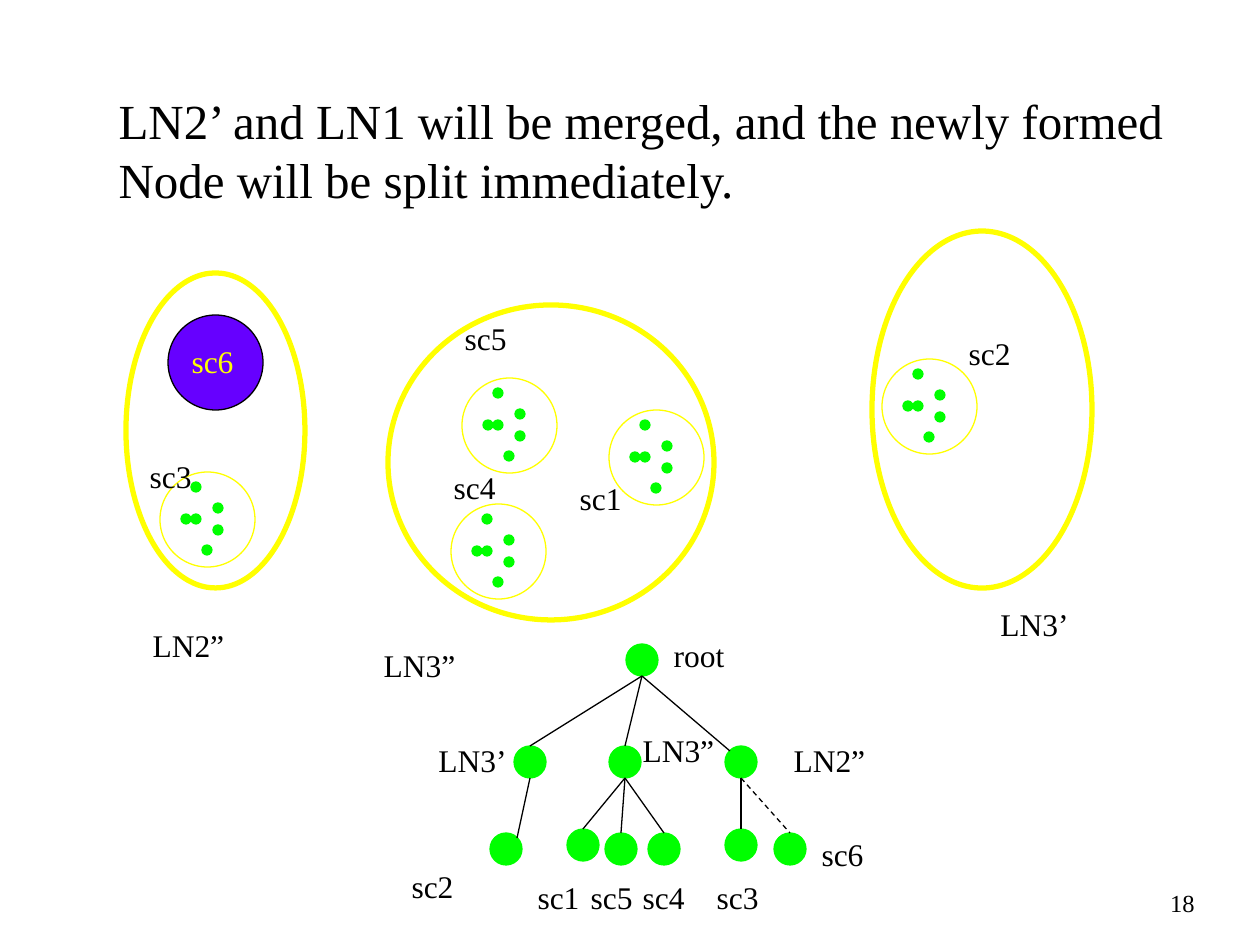
from pptx import Presentation
from pptx.dml.color import RGBColor
from pptx.enum.dml import MSO_LINE
from pptx.enum.shapes import MSO_CONNECTOR, MSO_SHAPE
from pptx.enum.text import MSO_ANCHOR, MSO_AUTO_SIZE, PP_ALIGN
from pptx.oxml.ns import qn
from pptx.util import Emu, Pt

ELLIPSE = MSO_SHAPE.OVAL
STRAIGHT = MSO_CONNECTOR.STRAIGHT
DASH = MSO_LINE.DASH
LEFT, CENTER, RIGHT = PP_ALIGN.LEFT, PP_ALIGN.CENTER, PP_ALIGN.RIGHT
TOP, MIDDLE = MSO_ANCHOR.TOP, MSO_ANCHOR.MIDDLE

FONT = "Times New Roman"
BLACK, YELLOW, GREEN, VIOLET = "000000", "FFFF00", "00FF00", "6600FF"
THIN, THICK = 0.74, 3
CLUSTER, DOT, NODE = 95, 10, 32
CORNER = 5  # inset of a diagonal point on a node's outline

DOTS = [(53, 31), (53, 53), (21, 42), (42, 73), (31, 42), (31, 10)]
LEAF_NODES = [(126, 273, 179, 315), (388, 305, 326, 315), (872, 231, 220, 357)]
CLUSTERS = [(160, 472), (451, 504), (462, 378), (609, 410), (882, 359)]

TREE = {
    "root": (626, 644),
    "LN3’": (514, 746), "LN3”": (609, 746), "LN2”": (725, 746),
    "sc2": (490, 833), "sc1": (567, 829), "sc5": (605, 833),
    "sc4": (648, 833), "sc3": (725, 829), "sc6": (774, 833),
}
# parent, child, arrival point on the child
EDGES = [
    ("root", "LN3’", "top"), ("root", "LN3”", "top"), ("root", "LN2”", "top left"),
    ("LN3’", "sc2", "top right"),
    ("LN3”", "sc1", "top"), ("LN3”", "sc5", "top"), ("LN3”", "sc4", "top"),
    ("LN2”", "sc3", "top"), ("LN2”", "sc6", "top"),
]
ARRIVAL = {
    "top": (NODE // 2, 0),
    "top left": (CORNER, CORNER),
    "top right": (NODE - CORNER, CORNER),
}

LABEL_WIDTHS = {"sc": 67, "ro": 76, "LN": 95}
LABELS = [
    ("sc3", 137, 451), ("sc4", 441, 462), ("sc5", 452, 313),
    ("sc2", 956, 328), ("sc1", 567, 473),
    ("LN2”", 141, 620), ("LN3”", 372, 640), ("LN3’", 987, 599),
    ("root", 661, 630), ("LN3’", 425, 735), ("LN3”", 631, 725), ("LN2”", 782, 735),
    ("sc2", 399, 861), ("sc1", 525, 872), ("sc5", 578, 872),
    ("sc4", 630, 872), ("sc3", 704, 872), ("sc6", 809, 829),
]


def px(n):
    return Emu(round(n * 914400 / 126))


def rgb(color):
    return RGBColor.from_string(color)


def add_ellipse(s, x, y, w, h, line, fill=None, weight=THIN):
    sp = s.shapes.add_shape(ELLIPSE, px(x), px(y), px(w), px(h))
    sp.shadow.inherit = False
    if fill:
        sp.fill.solid()
        sp.fill.fore_color.rgb = rgb(fill)
    else:
        sp.fill.background()
    sp.line.color.rgb = rgb(line)
    sp.line.width = Pt(weight)


def add_cluster(s, x, y):
    add_ellipse(s, x, y, CLUSTER, CLUSTER, YELLOW)
    for dx, dy in DOTS:
        add_ellipse(s, x + dx, y + dy, DOT, DOT, GREEN, GREEN)


def add_edge(s, parent, child, arrival):
    (x1, y1), (x2, y2) = TREE[parent], TREE[child]
    dx, dy = ARRIVAL[arrival]
    line = s.shapes.add_connector(STRAIGHT, px(x1 + NODE // 2), px(y1 + NODE),
                                  px(x2 + dx), px(y2 + dy))
    line.line.color.rgb = rgb(BLACK)
    line.line.width = Pt(THIN)
    if child == "sc6":
        line.line.dash_style = DASH
    sp_pr = line._element.spPr
    sp_pr.append(sp_pr.makeelement(qn("a:effectLst"), {}))


def set_text(sp, text, size, align, color=BLACK, anchor=TOP, wrap=False):
    tf = sp.text_frame
    tf.text = text
    tf.word_wrap = wrap
    tf.auto_size = MSO_AUTO_SIZE.NONE
    tf.vertical_anchor = anchor
    for p in tf.paragraphs:
        p.alignment = align
        p.font.name = FONT
        p.font.size = Pt(size)
        p.font.color.rgb = rgb(color)


def add_label(s, text, x, y, color=BLACK):
    sp = s.shapes.add_textbox(px(x), px(y), px(LABEL_WIDTHS[text[:2]]), px(50))
    set_text(sp, text, 18, CENTER, color)


def main():
    prs = Presentation()
    prs.slide_width, prs.slide_height = px(1260), px(945)
    s = prs.slides.add_slide(prs.slide_layouts[5])

    # Title
    title = s.shapes.title
    title.left, title.top, title.width, title.height = px(106), px(84), px(1086), px(131)
    set_text(title, "LN2’ and LN1 will be merged, and the newly formed\n"
                    "Node will be split immediately.", 28, LEFT)

    # Leaf nodes and their clusters
    for box in LEAF_NODES:
        add_ellipse(s, *box, YELLOW, weight=THICK)
    for x, y in CLUSTERS:
        add_cluster(s, x, y)
    add_ellipse(s, 168, 315, CLUSTER, CLUSTER, BLACK, VIOLET)
    add_label(s, "sc6", 179, 336, YELLOW)

    # Tree
    for x, y in TREE.values():
        add_ellipse(s, x, y, NODE, NODE, GREEN, GREEN)
    for edge in EDGES:
        add_edge(s, *edge)

    # Labels
    for label in LABELS:
        add_label(s, *label)

    # Slide number
    number = s.shapes.add_textbox(px(945), px(871), px(262), px(63))
    set_text(number, "18", 14, RIGHT, anchor=MIDDLE, wrap=True)

    prs.save("out.pptx")


main()
